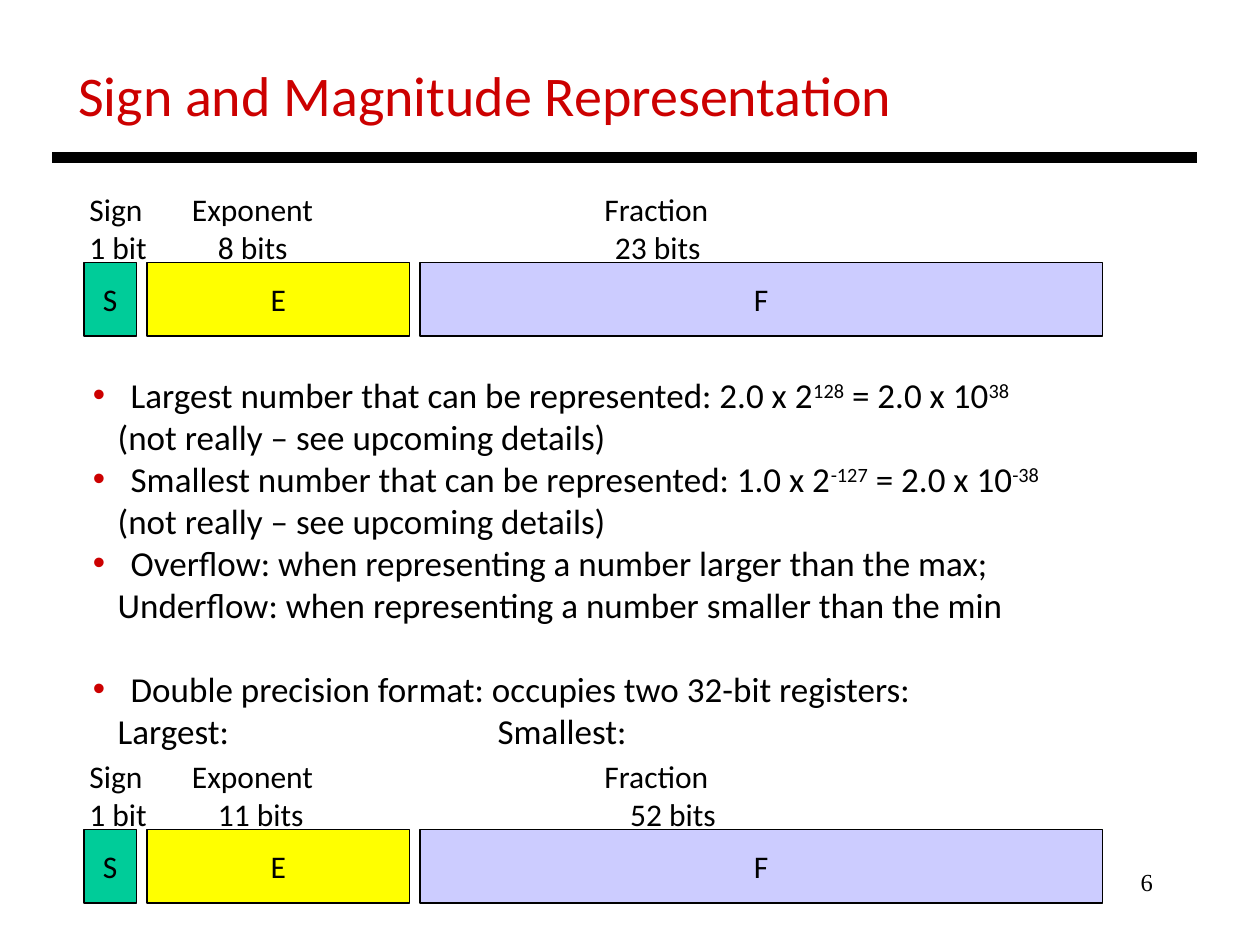
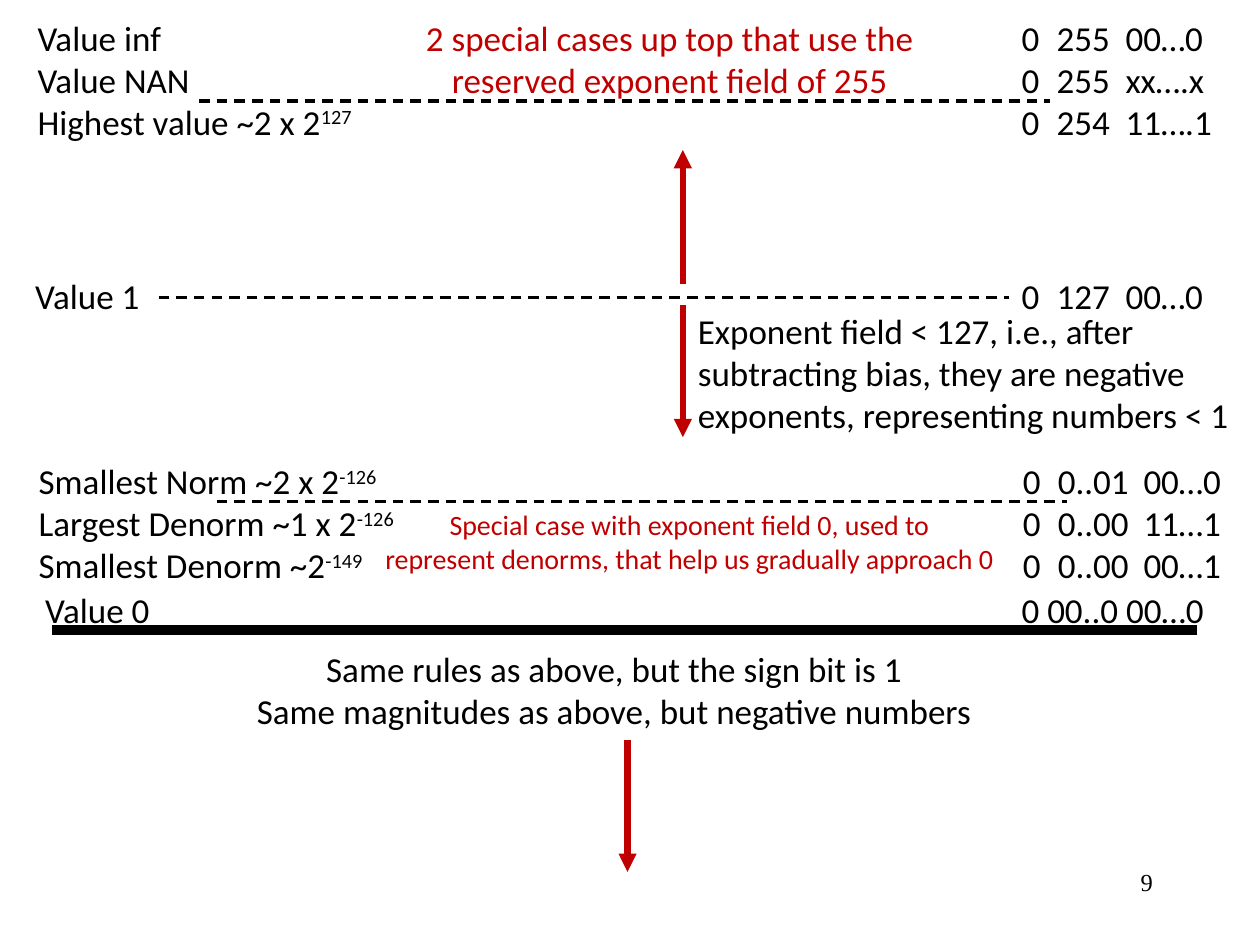
"""Build two slides on sign-magnitude and floating-point number formats."""
from dataclasses import dataclass, field

from lxml.etree import SubElement
from pptx import Presentation
from pptx.dml.color import RGBColor as Rgb
from pptx.enum.shapes import MSO_CONNECTOR as Link, MSO_SHAPE as Preset
from pptx.enum.text import MSO_ANCHOR as Anchor, MSO_AUTO_SIZE as Fit, PP_ALIGN as Align
from pptx.oxml.ns import qn
from pptx.util import Pt


@dataclass(frozen=True)
class Theme:
    """Colours, fonts and type sizes of the deck."""
    ink: str = "000000"
    title: str = "CC0000"
    accent: str = "C00000"
    sign: str = "00CC99"
    exponent: str = "FFFF00"
    fraction: str = "CCCCFF"
    body_font: str = "Calibri"
    number_font: str = "Times New Roman"
    title_size: int = 32
    body_size: int = 20
    label_size: int = 18
    note_size: int = 16
    number_size: int = 14


THEME = Theme()


@dataclass(frozen=True)
class Line:
    """One paragraph; text between carets is raised."""
    text: str
    tabs: tuple = ()
    indent: float = 0
    bullet: bool = False
    before: float = 0


@dataclass(frozen=True)
class Style:
    """Look of the text in a box."""
    size: float = THEME.body_size
    colour: str = THEME.ink
    font: str = THEME.body_font
    align: Align = Align.LEFT
    anchor: Anchor = Anchor.TOP


@dataclass(frozen=True)
class Label:
    """A text box with its lines."""
    left: float
    top: float
    width: float
    height: float
    lines: tuple
    style: Style = field(default_factory=Style)


@dataclass(frozen=True)
class Stroke:
    """A straight line, dashed or with an arrowhead if asked."""
    start: tuple
    end: tuple
    weight: float
    colour: str = THEME.ink
    dashed: bool = False
    arrow: bool = False


@dataclass(frozen=True)
class BitField:
    """One field of a number format."""
    name: str
    width: float
    colour: str


BODY = Style()
CENTRED = Style(align=Align.CENTER)
ALERT = Style(colour=THEME.accent, align=Align.CENTER)
NOTE = Style(THEME.note_size, THEME.accent, align=Align.CENTER)
LABEL = Style(THEME.label_size)
FIELD = Style(THEME.label_size, align=Align.CENTER, anchor=Anchor.MIDDLE)
TITLE = Style(THEME.title_size, THEME.title)
NUMBER = Style(THEME.number_size, font=THEME.number_font, align=Align.RIGHT)

BIT_FIELDS = (BitField("S", 30, THEME.sign), BitField("E", 150, THEME.exponent),
              BitField("F", 390, THEME.fraction))
FIELD_LEFT, FIELD_GAP, FIELD_HEIGHT = 48, 6, 42
HANG, STEP = 21.6, 14.2

FACTS = (
    Line("Largest number that can be represented: 2.0 x 2^128^ = 2.0 x 10^38^", indent=HANG, bullet=True),
    Line("(not really – see upcoming details)", indent=STEP),
    Line("Smallest number that can be represented: 1.0 x 2^-127^ = 2.0 x 10^-38^", indent=HANG, bullet=True),
    Line("(not really – see upcoming details)", indent=STEP),
    Line("Overflow: when representing a number larger than the max;", indent=HANG, bullet=True),
    Line("Underflow: when representing a number smaller than the min", indent=STEP),
    Line("Double precision format: occupies two 32-bit registers:", indent=HANG, bullet=True, before=24),
    Line("\tLargest:\tSmallest:", tabs=(STEP, 231.3)),
)


def plain(*texts: str, tabs: tuple = ()) -> tuple:
    """Turn texts into lines that share tab stops."""
    return tuple(Line(text, tabs) for text in texts)


NORMAL_TABS, DENORM_TABS = (20, 59.4), (20, 69)
PATTERN_LEFT = 576.7
VALUE_LABELS = (
    Label(PATTERN_LEFT, 332.6, 118, 31, plain("0 00..0 00…0")),
    Label(18.7, 332.6, 74, 31, plain("Value 0")),
    Label(13, 153.4, 74, 31, plain("Value 1")),
    Label(PATTERN_LEFT, 153.4, 117, 31, plain("0\t127\t00…0", tabs=NORMAL_TABS)),
    Label(14.4, 5.8, 194, 79, plain("Value inf", "Value NAN", "Highest value ~2 x 2^127^")),
    Label(PATTERN_LEFT, 5.8, 122, 79,
          plain("0\t255\t00…0", "0\t255\txx….x", "0\t254\t11….1", tabs=NORMAL_TABS)),
    Label(15, 259.2, 217, 79,
          plain("Smallest Norm ~2 x 2^-126^", "Largest Denorm ~1 x 2^-126^", "Smallest Denorm ~2^-149^")),
    Label(577.4, 259.2, 127.5, 79,
          plain("0\t0..01\t00…0", "0\t0..00\t11…1", "0\t0..00\t00…1", tabs=DENORM_TABS)),
    Label(139.7, 366.5, 422.6, 55.4,
          plain("Same rules as above, but the sign bit is 1",
                "Same magnitudes as above, but negative numbers"), CENTRED),
    Label(391.7, 173.5, 317.5, 79,
          plain("Exponent field < 127, i.e., after", "subtracting bias, they are negative",
                "exponents, representing numbers < 1")),
    Label(236.2, 5.8, 293, 55.4,
          plain("2 special cases up top that use the", "reserved exponent field of 255"), ALERT),
    Label(213, 286.6, 362, 45.4,
          plain("Special case with exponent field 0, used to",
                "represent denorms, that help us gradually approach 0"), NOTE),
)
DIVIDERS = ((90.7, 170), (113.8, 57.6), (123.8, 286.6))
DIVIDER_LENGTH = 486
ARROWS = ((358.6, 422.6, 498.2), (390.2, 174.2, 249.8), (390.2, 162, 85.7))


def apply(target, values: dict) -> None:
    """Set every attribute named in the dict."""
    for name, value in values.items():
        setattr(target, name, value)


def format_para(para, line: Line) -> None:
    """Give a paragraph its indent, bullet, tab stops and spacing."""
    props = para._p.get_or_add_pPr()
    if line.indent:
        props.set("marL", str(Pt(line.indent)))
        props.set("indent", str(-Pt(line.indent) if line.bullet else 0))
    if line.bullet:
        SubElement(SubElement(props, qn("a:buClr")), qn("a:srgbClr"), val=THEME.title)
        SubElement(props, qn("a:buFont"), typeface="Arial")
        SubElement(props, qn("a:buChar"), char="•")
    if line.tabs:
        stops = SubElement(props, qn("a:tabLst"))
        for stop in line.tabs:
            SubElement(stops, qn("a:tab"), pos=str(Pt(stop)), algn="l")
    if line.before:
        para.space_before = Pt(line.before)


def write(shape, lines: tuple, style: Style) -> None:
    """Fill a shape with styled lines."""
    frame = shape.text_frame
    apply(frame, {
        "word_wrap": True, "auto_size": Fit.NONE, "vertical_anchor": style.anchor,
        "margin_left": Pt(7.2 if style.align == Align.LEFT else 0),
        "margin_right": Pt(7.2 if style.align == Align.RIGHT else 0),
        "margin_top": Pt(3.6), "margin_bottom": Pt(3.6),
    })
    for index, line in enumerate(lines):
        para = frame.add_paragraph() if index else frame.paragraphs[0]
        para.alignment = style.align
        format_para(para, line)
        for part, text in enumerate(line.text.split("^")):
            if text:
                span = para.add_run()
                span.text = text
                apply(span.font, {"name": style.font, "size": Pt(style.size), "bold": False})
                span.font.color.rgb = Rgb.from_string(style.colour)
                if part % 2:
                    span.font._element.set("baseline", "30000")


def add_label(page, label: Label) -> None:
    """Draw a text box."""
    box = page.shapes.add_textbox(Pt(label.left), Pt(label.top), Pt(label.width), Pt(label.height))
    write(box, label.lines, label.style)


def add_stroke(page, stroke: Stroke) -> None:
    """Draw a straight line."""
    ends = [Pt(value) for value in (*stroke.start, *stroke.end)]
    connector = page.shapes.add_connector(Link.STRAIGHT, *ends)
    connector.line.width = Pt(stroke.weight)
    connector.line.color.rgb = Rgb.from_string(stroke.colour)
    props = connector._element.spPr
    outline = props.find(qn("a:ln"))
    if stroke.dashed:
        SubElement(SubElement(outline, qn("a:custDash")), qn("a:ds"), d="300000", sp="200000")
    if stroke.arrow:
        SubElement(outline, qn("a:tailEnd"), type="triangle")
    SubElement(props, qn("a:effectLst"))


def add_frame(page, number: int, rule_top: float) -> None:
    """Draw the page number and the heavy rule."""
    add_label(page, Label(516, 492, 150, 36, plain(str(number)), NUMBER))
    add_stroke(page, Stroke((30, rule_top), (684, rule_top), 6))


def add_format(page, top: float, exponent: str, fraction: str, fraction_tab: float) -> None:
    """Draw a number format with its captions above."""
    captions = (Line("Sign\tExponent\tFraction", (58.6, 294.3)),
                Line(f"1 bit\t{exponent}\t{fraction}", (73.4, fraction_tab)))
    add_label(page, Label(44, top - 45, 372, 50, captions, LABEL))
    left = FIELD_LEFT
    for part in BIT_FIELDS:
        box = page.shapes.add_shape(Preset.RECTANGLE, Pt(left), Pt(top), Pt(part.width), Pt(FIELD_HEIGHT))
        box.shadow.inherit = False
        box.fill.solid()
        box.fill.fore_color.rgb = Rgb.from_string(part.colour)
        box.line.color.rgb = Rgb.from_string(THEME.ink)
        box.line.width = Pt(0.75)
        write(box, plain(part.name), FIELD)
        left += part.width + FIELD_GAP


def build_format_page(deck) -> None:
    """Build the slide on the sign and magnitude format."""
    page = deck.slides.add_slide(deck.slide_layouts[5])
    title = page.shapes.title
    apply(title, {"left": Pt(37.5), "top": Pt(31), "width": Pt(479.5), "height": Pt(45)})
    write(title, plain("Sign and Magnitude Representation"), TITLE)
    add_frame(page, 6, 90)
    add_format(page, 150, "8 bits", "23 bits", 300.3)
    add_label(page, Label(46, 210, 560, 223, FACTS, BODY))
    add_format(page, 474, "11 bits", "52 bits", 309)


def build_range_page(deck) -> None:
    """Build the slide on the range of values."""
    page = deck.slides.add_slide(deck.slide_layouts[6])
    add_frame(page, 9, 360)
    for label in VALUE_LABELS:
        add_label(page, label)
    for left, top in DIVIDERS:
        add_stroke(page, Stroke((left, top), (left + DIVIDER_LENGTH, top), 2, dashed=True))
    for left, start, end in ARROWS:
        add_stroke(page, Stroke((left, start), (left, end), 3.5, THEME.accent, arrow=True))


def main() -> None:
    """Build and save the deck."""
    deck = Presentation()
    apply(deck, {"slide_width": Pt(720), "slide_height": Pt(540)})
    build_format_page(deck)
    build_range_page(deck)
    deck.save("out.pptx")


if __name__ == "__main__":
    main()
